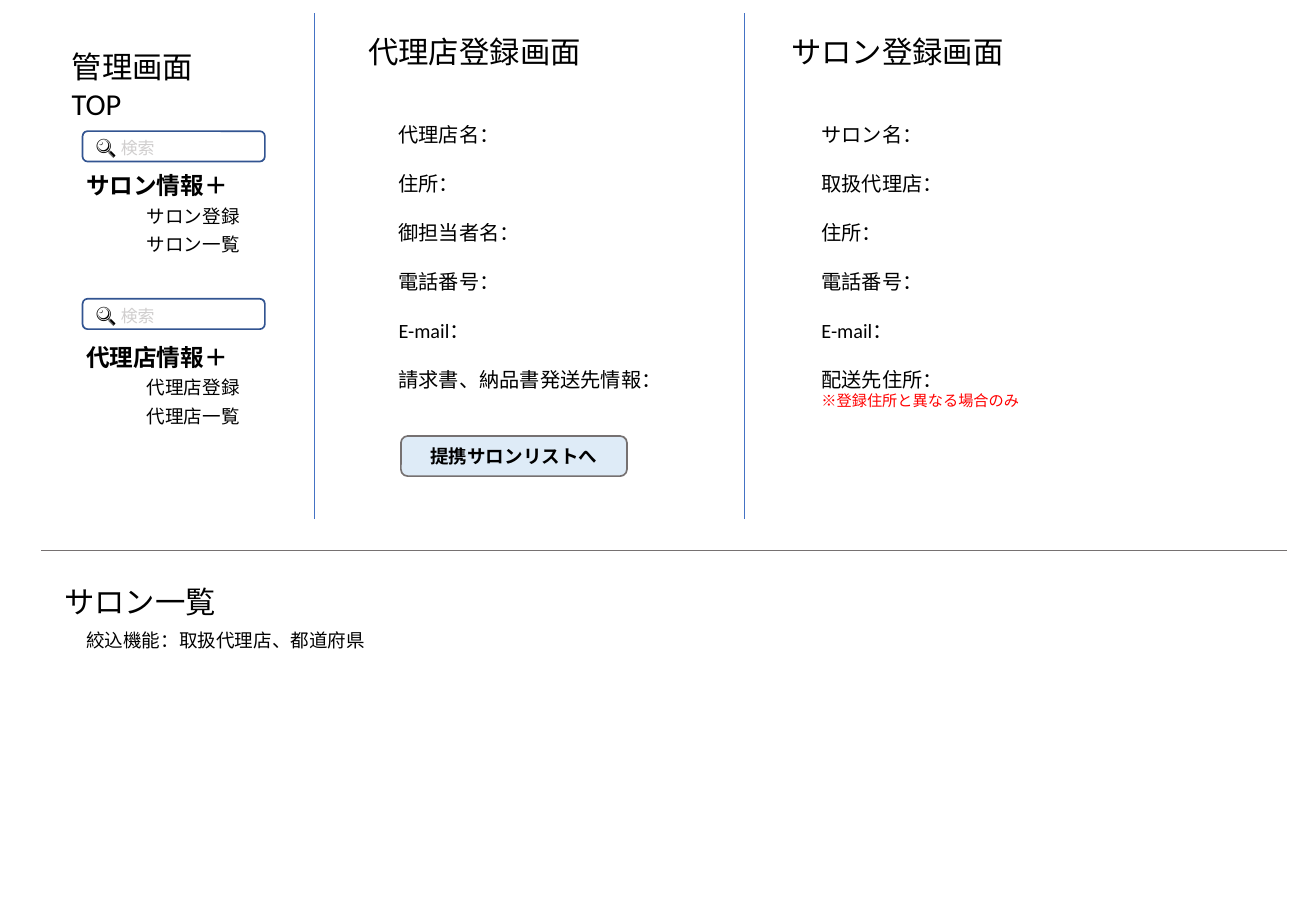
"""Builds the wireframe slide for the salon and agency administration screens."""
from lxml import etree
from pptx import Presentation
from pptx.dml.color import RGBColor
from pptx.enum.shapes import MSO_CONNECTOR, MSO_SHAPE
from pptx.enum.text import MSO_ANCHOR, MSO_AUTO_SIZE, PP_ALIGN
from pptx.oxml.ns import qn
from pptx.util import Inches, Pt

LEFT, CENTER = PP_ALIGN.LEFT, PP_ALIGN.CENTER
TOP, MIDDLE = MSO_ANCHOR.TOP, MSO_ANCHOR.MIDDLE
NO_AUTOFIT = MSO_AUTO_SIZE.NONE
ROUNDED, STRAIGHT = MSO_SHAPE.ROUNDED_RECTANGLE, MSO_CONNECTOR.STRAIGHT
BLACK, RED, BLUE, NAVY = "000000", "FF0000", "4472C4", "325491"
GRAY, LIGHT_GRAY, PALE_BLUE = "767171", "D0CECE", "DEEBF7"
COMPARISON_LAYOUT = 4


def color(hex_string):
    return RGBColor.from_string(hex_string)


def add_text(shape, text, size=18, hue=BLACK, bold=False, align=LEFT, anchor=TOP,
             before=0, after=0, indent=0, same_line=False):
    """Append text to a shape as a new paragraph, or as a run of the last one."""
    frame = shape.text_frame
    frame.word_wrap = True
    frame.auto_size = NO_AUTOFIT
    frame.vertical_anchor = anchor
    paragraph = frame.paragraphs[-1]
    if paragraph.runs and not same_line:
        paragraph = frame.add_paragraph()
    if not same_line:
        paragraph.alignment = align
        paragraph.space_before = Pt(before)
        paragraph.space_after = Pt(after)
        properties = paragraph._p.get_or_add_pPr()
        properties.set("marL", str(Inches(indent)))
        properties.set("indent", "0")
        etree.SubElement(properties, qn("a:buNone"))
    run = paragraph.add_run()
    run.text = text
    run.font.name = "Calibri"
    run.font.size = Pt(size)
    run.font.bold = bold
    run.font.color.rgb = color(hue)


presentation = Presentation()
presentation.slide_width = Inches(10.83)
presentation.slide_height = Inches(7.5)
slide = presentation.slides.add_slide(presentation.slide_layouts[COMPARISON_LAYOUT])
shapes = slide.shapes
placeholders = {item.placeholder_format.idx: item for item in slide.placeholders}

title = placeholders[0]
title.left, title.top, title.width, title.height = map(Inches, (0.49, 0.35, 1.4, 0.72))
add_text(title, "管理画面TOP")

forms = [
    (1, 2.93, "代理店登録画面",
     ["代理店名：", "住所：", "御担当者名：", "電話番号：", "E-mail：",
      "請求書、納品書発送先情報："]),
    (3, 6.41, "サロン登録画面",
     ["サロン名：", "取扱代理店：", "住所：", "電話番号：", "E-mail：", "配送先住所："]),
]
for index, left, heading_text, fields in forms:
    heading, field_list = placeholders[index], placeholders[index + 1]
    heading.left, heading.top, heading.width, heading.height = map(
        Inches, (left, 0.22, 2.2, 0.4))
    add_text(heading, heading_text)
    field_list.left, field_list.top, field_list.width, field_list.height = map(
        Inches, (left + 0.25, 0.96, 2.73, 2.52))
    for field in fields:
        add_text(field_list, field, size=12, after=0 if field == fields[-1] else 14.6)
add_text(field_list, "※登録住所と異なる場合のみ", size=9, hue=RED)

menu = shapes.add_textbox(Inches(0.61), Inches(1.36), Inches(1.9), Inches(2.69))
for subject, gap in (("サロン", 0), ("代理店", 51)):
    add_text(menu, f"{subject}情報＋", size=14, bold=True, before=gap)
    for action in ("登録", "一覧"):
        add_text(menu, subject + action, size=11, before=3, after=0.7, indent=0.5)

for top in (1.08, 2.46):
    search = shapes.add_shape(ROUNDED, Inches(0.68), Inches(top), Inches(1.5), Inches(0.25))
    search.shadow.inherit = False
    search.fill.background()
    search.line.color.rgb = color(NAVY)
    search.line.width = Pt(1)
    add_text(search, "🔍 ", size=12, anchor=MIDDLE)
    add_text(search, "検索", size=10, hue=LIGHT_GRAY, anchor=MIDDLE, same_line=True)

button = shapes.add_shape(ROUNDED, Inches(3.3), Inches(3.59), Inches(1.86), Inches(0.33))
button.shadow.inherit = False
button.fill.solid()
button.fill.fore_color.rgb = color(PALE_BLUE)
button.line.color.rgb = color(GRAY)
button.line.width = Pt(1)
add_text(button, "提携サロンリストへ", size=11, bold=True, align=CENTER, anchor=MIDDLE)

dividers = [
    (2.59, 0.11, 2.59, 4.27, BLUE),
    (6.13, 0.11, 6.13, 4.27, BLUE),
    (0.34, 4.53, 10.59, 4.53, GRAY),
]
for *ends, hue in dividers:
    divider = shapes.add_connector(STRAIGHT, *map(Inches, ends))
    divider.line.color.rgb = color(hue)
    divider.line.width = Pt(0.5)
    etree.SubElement(divider._element.spPr, qn("a:effectLst"))

for left, top, width, text, size in (
        (0.43, 4.75, 1.7, "サロン一覧", 18),
        (0.61, 5.13, 2.8, "絞込機能：取扱代理店、都道府県", 11)):
    label = shapes.add_textbox(Inches(left), Inches(top), Inches(width), Inches(0.4))
    add_text(label, text, size=size)

presentation.save("out.pptx")
